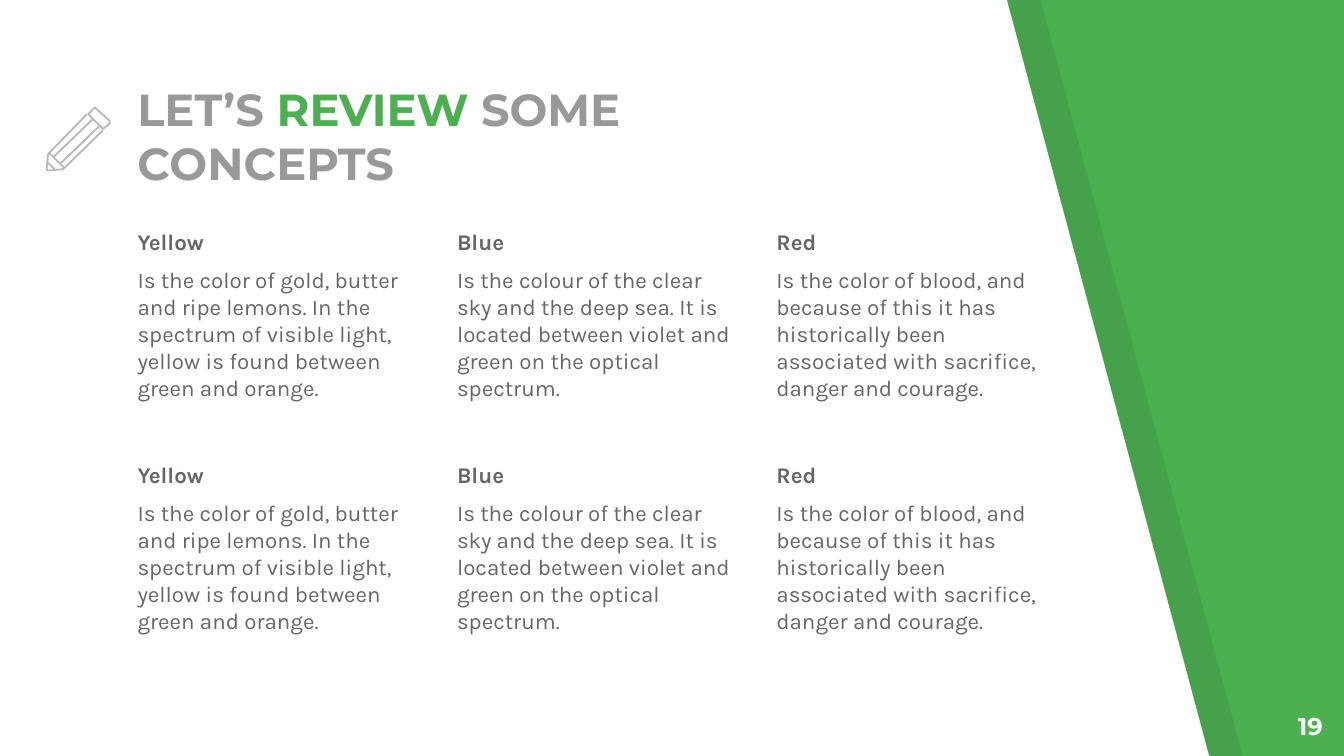
from lxml.etree import SubElement
from pptx import Presentation
from pptx.dml.color import RGBColor
from pptx.enum.shapes import MSO_CONNECTOR
from pptx.enum.text import MSO_ANCHOR as Anchor, PP_ALIGN as Align
from pptx.oxml.ns import qn
from pptx.util import Pt

GREEN = RGBColor(0x4C, 0xAF, 0x50)
WHITE = RGBColor(0xFF, 0xFF, 0xFF)
BLACK = RGBColor(0, 0, 0)
TITLE_GRAY = RGBColor(0x99, 0x99, 0x99)
BODY_GRAY = RGBColor(0x66, 0x66, 0x66)
ICON_GRAY = RGBColor(0xB7, 0xB7, 0xB7)

TITLE_FORMAT = {"name": "Montserrat", "size": Pt(24), "bold": True}
NUMBER_FORMAT = {"name": "Montserrat", "size": Pt(13), "bold": True}
HEADING_FORMAT = {"name": "Karla", "size": Pt(12), "bold": True}
BODY_FORMAT = {**HEADING_FORMAT, "bold": False}

CONCEPTS = [
    ("Yellow", "Is the color of gold, butter and ripe lemons. In the spectrum of "
               "visible light, yellow is found between green and orange."),
    ("Blue", "Is the colour of the clear sky and the deep sea. It is located "
             "between violet and green on the optical spectrum."),
    ("Red", "Is the color of blood, and because of this it has historically been "
            "associated with sacrifice, danger and courage."),
]

ERASER = [(26.6, 0.7), (26, 0), (25.2, 0.7), (22.3, 3.6), (30.2, 11.5),
          (33.8, 8.6), (33.8, 7.2)]
BARREL = [(21.6, 3.6), (1.4, 24.3), (0.7, 25.2), (0, 33.1), (0.7, 33.8),
          (8.6, 33.1), (9.5, 32.4), (30.2, 12.2)]
STROKES = [((28.1, 10.1), (7.2, 30.2)), ((24.5, 6.5), (3.6, 26.6)),
           ((4.3, 33.1), (0.7, 29.5)), ((1.4, 24.3), (9.5, 32.4))]


def add_text_box(page, box, anchor=Anchor.TOP):
    frame = page.shapes.add_textbox(*map(Pt, box)).text_frame
    margins = dict.fromkeys(
        ("margin_left", "margin_top", "margin_right", "margin_bottom"), Pt(7.2))
    for key, value in {"word_wrap": True, "vertical_anchor": anchor, **margins}.items():
        setattr(frame, key, value)
    return frame


def add_span(para, text, color, formats):
    span = para.add_run()
    span.text = text
    for key, value in formats.items():
        setattr(span.font, key, value)
    span.font.color.rgb = color


def add_outline(page, points, left, top, close):
    corners = [(Pt(left + x), Pt(top + y)) for x, y in points]
    builder = page.shapes.build_freeform(*corners[0])
    builder.add_line_segments(corners[1:], close=close)
    shape = builder.convert_to_shape()
    shape.shadow.inherit = False
    return shape


def add_panel(page, box, slant, color, alpha=None):
    left, top, width, height = box
    corners = [(0, 0), (0, height), (width, height), (width - slant, 0)]
    panel = add_outline(page, corners, left, top, True)
    panel.fill.solid()
    panel.fill.fore_color.rgb = color
    panel.line.fill.background()
    if alpha is not None:
        color_node = panel.fill._xPr.find(qn("a:solidFill"))[0]
        SubElement(color_node, qn("a:alpha"), val=str(alpha * 1000))


def style_line(line):
    line.color.rgb = ICON_GRAY
    line.width = Pt(0.96)


def add_pencil(page, left, top):
    for points, close in ((ERASER, True), (BARREL, False)):
        outline = add_outline(page, points, left, top, close)
        outline.fill.background()
        style_line(outline.line)
    for (x1, y1), (x2, y2) in STROKES:
        stroke = page.shapes.add_connector(
            MSO_CONNECTOR.STRAIGHT,
            Pt(left + x1), Pt(top + y1), Pt(left + x2), Pt(top + y2))
        style_line(stroke.line)
        SubElement(stroke._element.spPr, qn("a:effectLst"))


def add_title(page, box):
    para = add_text_box(page, box, Anchor.BOTTOM).paragraphs[0]
    for text, color in (("LET’S ", TITLE_GRAY), ("REVIEW", GREEN),
                        (" SOME CONCEPTS", TITLE_GRAY)):
        add_span(para, text, color, TITLE_FORMAT)


def add_concept(page, box, heading, body):
    frame = add_text_box(page, box)
    for para, text, formats in (
            (frame.paragraphs[0], heading, HEADING_FORMAT),
            (frame.add_paragraph(), body, BODY_FORMAT)):
        para.space_before = Pt(6)
        add_span(para, text, BODY_GRAY, formats)


def add_concept_grid(page, box, rows=2, gap_x=8.4, gap_y=21.6):
    left, top, width, height = box
    columns = len(CONCEPTS)
    cell_width = (width - gap_x * (columns - 1)) / columns
    cell_height = (height - gap_y * (rows - 1)) / rows
    for row in range(rows):
        for column, (heading, body) in enumerate(CONCEPTS):
            cell = (left + column * (cell_width + gap_x),
                    top + row * (cell_height + gap_y), cell_width, cell_height)
            add_concept(page, cell, heading, body)


def add_page_number(page, box, number):
    para = add_text_box(page, box).paragraphs[0]
    para.alignment = Align.RIGHT
    add_span(para, number, WHITE, NUMBER_FORMAT)


def main():
    deck = Presentation()
    deck.slide_width, deck.slide_height = Pt(720), Pt(405)
    page = deck.slides.add_slide(deck.slide_layouts[6])
    page.background.fill.solid()
    page.background.fill.fore_color.rgb = GREEN

    add_panel(page, (18, -0.5, 648, 406.5), 108.7, BLACK, 7)
    add_panel(page, (0, -0.5, 648, 406.5), 108.7, WHITE)
    add_title(page, (66.5, 76.3, 378, 32.4))
    add_concept_grid(page, (66.6, 115.2, 505, 227.6))
    add_pencil(page, 25, 57.6)
    add_page_number(page, (672.5, 373.7, 43.2, 31), "19")
    deck.save("out.pptx")


if __name__ == "__main__":
    main()
